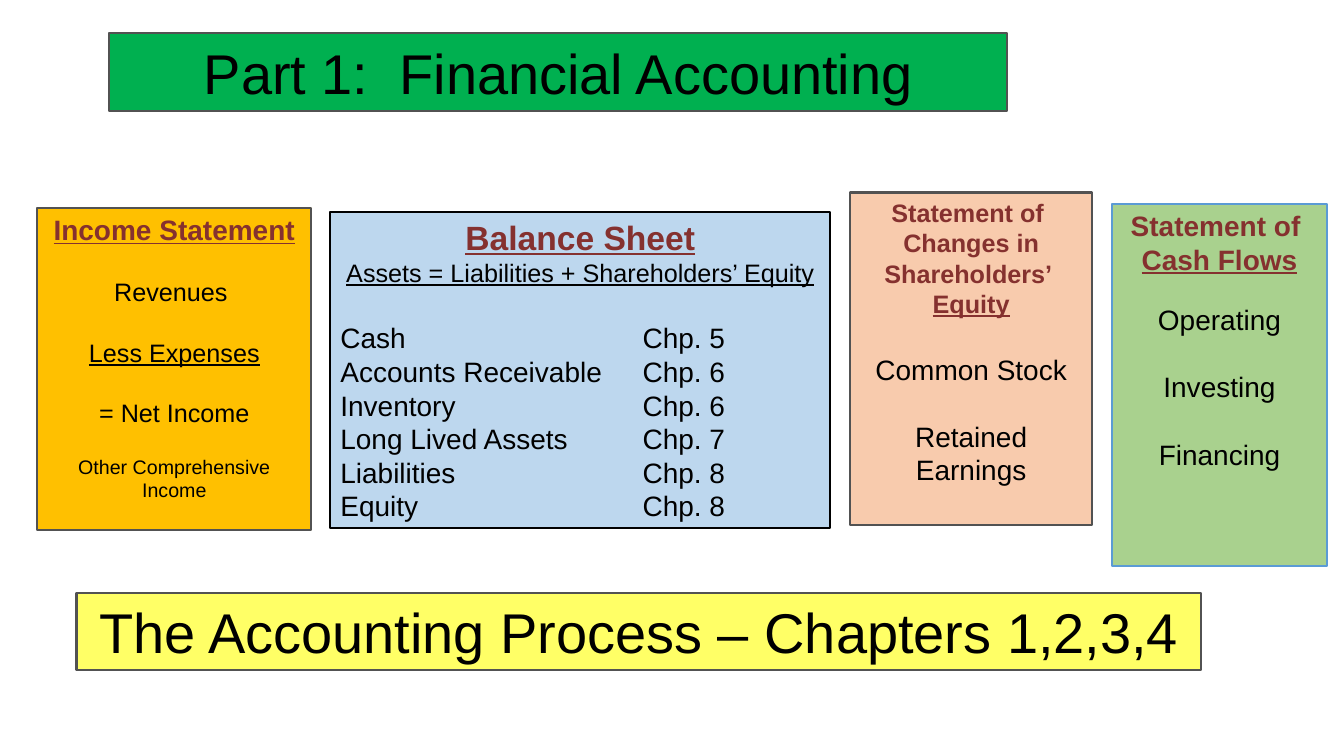
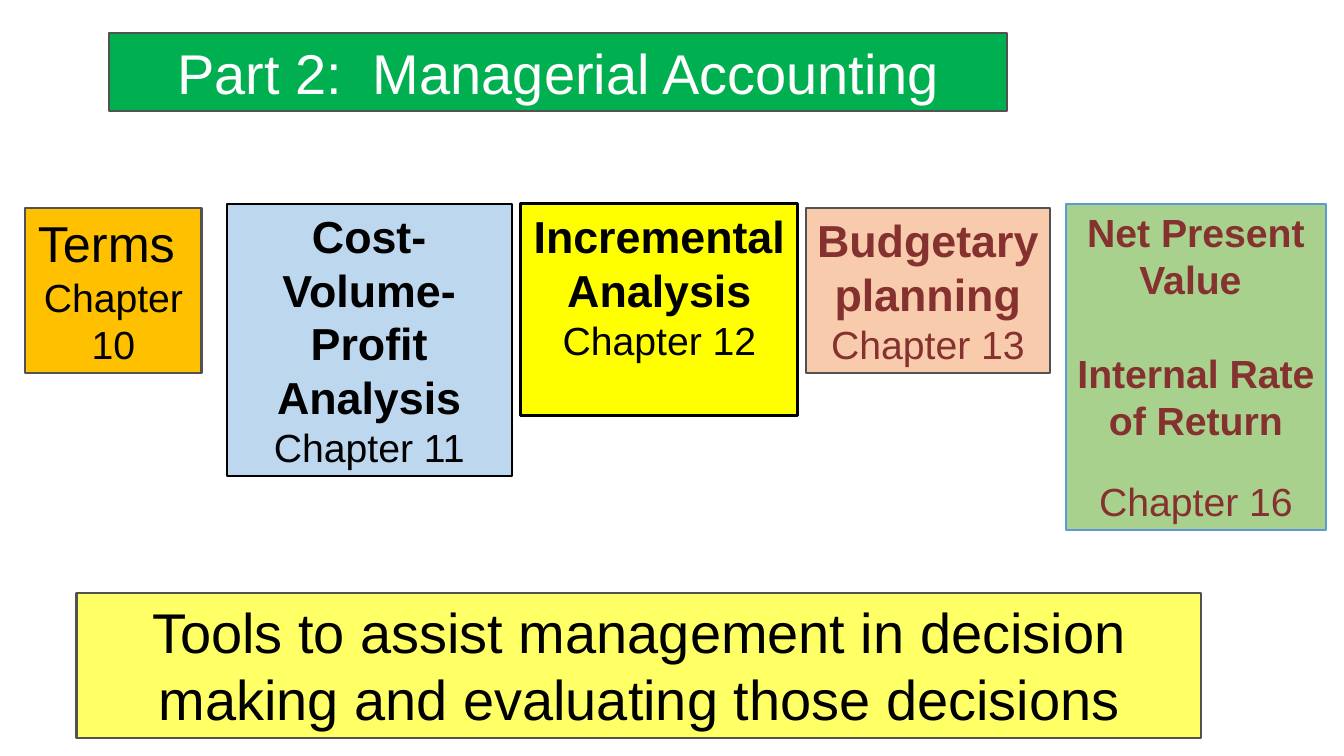
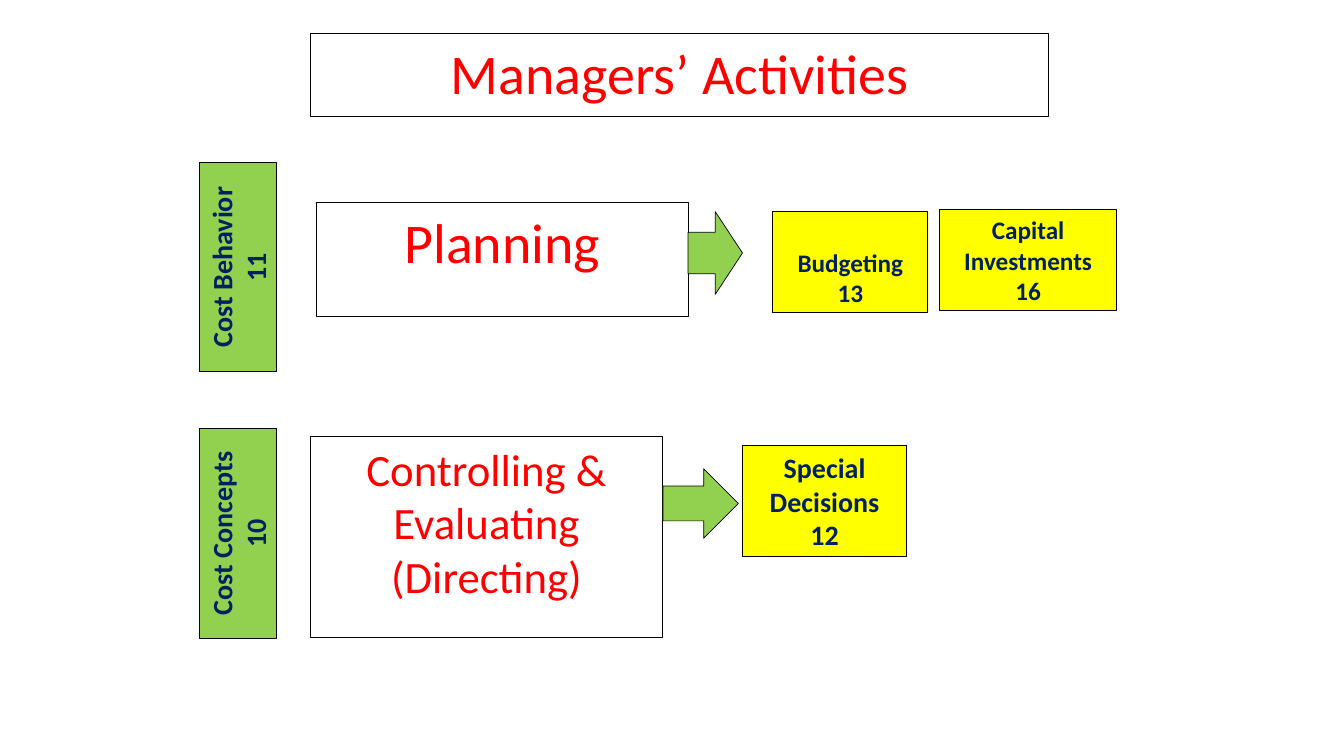
import dataclasses

import lxml.etree
import pptx
import pptx.dml.color
import pptx.enum.shapes
import pptx.enum.text
import pptx.oxml.ns
import pptx.util

Inches = pptx.util.Inches
Shape = pptx.enum.shapes.MSO_SHAPE
Align = pptx.enum.text.PP_ALIGN
Anchor = pptx.enum.text.MSO_ANCHOR


@dataclasses.dataclass(frozen=True)
class Theme:
    black: str = "000000"
    white: str = "FFFFFF"
    brown: str = "85312F"
    red: str = "FF0000"
    navy: str = "002060"
    gray: str = "525252"
    green: str = "00B050"
    lime: str = "92D050"
    lemon: str = "FFFF66"
    yellow: str = "FFFF00"
    gold: str = "FFC000"
    sky: str = "BDD7EE"
    peach: str = "F8CBAD"
    sage: str = "A9D18E"
    blue: str = "5B9BD5"
    sans: str = "Arial"
    soft: str = "Calibri"
    title: int = 40
    term: int = 36
    head: int = 32
    sub: int = 28
    lead: int = 24
    body: int = 20
    text: int = 18
    small: int = 14
    pitch: float = 1.2
    edge: float = 1.5
    thick: float = 2.25
    thin: float = 0.75
    hair: float = 0.5


T = Theme()


@dataclasses.dataclass(frozen=True)
class Line:
    """One paragraph; gap is the size of the empty line above it."""
    text: str
    size: int = T.body
    color: str = T.black
    bold: bool = False
    under: bool = False
    gap: int = 0
    tab: float = 0


def rgb(code):
    return pptx.dml.color.RGBColor.from_string(code)


def draw(slide, kind, at, fill, edge, width):
    shape = slide.shapes.add_shape(kind, *(Inches(n) for n in at))
    shape.shadow.inherit = False
    if fill:
        shape.fill.solid()
        shape.fill.fore_color.rgb = rgb(fill)
    else:
        shape.fill.background()
    shape.line.color.rgb = rgb(edge)
    shape.line.width = pptx.util.Pt(width)
    return shape


def add_tab(para, pos):
    qn = pptx.oxml.ns.qn
    stops = lxml.etree.SubElement(para._p.get_or_add_pPr(), qn("a:tabLst"))
    lxml.etree.SubElement(stops, qn("a:tab"), pos=str(Inches(pos)), algn="l")


def write(shape, lines, font, anchor):
    frame = shape.text_frame
    frame.word_wrap = True
    frame.vertical_anchor = anchor
    for i, line in enumerate(lines):
        para = frame.paragraphs[0] if i == 0 else frame.add_paragraph()
        para.alignment = Align.LEFT if line.tab else Align.CENTER
        if font == T.sans:
            para.line_spacing = pptx.util.Pt(line.size * T.pitch)
        if line.gap:
            para.space_before = pptx.util.Pt(line.gap * T.pitch)
        if line.tab:
            add_tab(para, line.tab)
        run = para.add_run()
        run.text = line.text
        run.font.name = font
        run.font.size = pptx.util.Pt(line.size)
        run.font.bold = line.bold
        run.font.underline = line.under
        run.font.color.rgb = rgb(line.color)


def panel(slide, at, lines, fill=None, edge=T.black, width=T.edge,
          font=T.sans, anchor=Anchor.TOP):
    """Draw a framed box holding text."""
    shape = draw(slide, Shape.RECTANGLE, at, fill, edge, width)
    write(shape, lines, font, anchor)
    return shape


def part(deck, title, color, foot, depth, cards):
    """Build a slide with a green title, a row of cards and a yellow foot."""
    slide = deck.slides.add_slide(deck.slide_layouts[6])
    panel(slide, (1.08, 0.33, 8.92, 0.77),
          [Line(title, T.title, color)], T.green, T.gray)
    panel(slide, (0.76, 5.88, 11.16, depth),
          [Line(foot, T.title)], T.lemon, T.gray)
    for card in cards:
        panel(slide, *card)


def row(slide, left, top, label, step, arrow, tools):
    """Draw an activity: upright label, step, arrow and its tools."""
    def place(x, y, w, h):
        return left + x, top + y, w, h

    def soft(at, lines, fill=None, anchor=Anchor.TOP):
        return panel(slide, at, lines, fill, T.black, T.thin, T.soft, anchor)

    tall, wide = 2.08, 0.77
    shift = (tall - wide) / 2
    tag = soft(place(-shift, shift, tall, wide),
               [Line(text, T.body, T.navy, True) for text in label], T.lime)
    tag.rotation = 270

    box, text, size = step
    soft(place(*box), [Line(text, size, T.red)])
    y, w, h = arrow
    draw(slide, Shape.RIGHT_ARROW, place(box[0] + box[2], y, w, h),
         T.lime, T.black, T.hair)
    for spot, texts, size, anchor in tools:
        soft(place(*spot), [Line(text, size, T.navy, True) for text in texts],
             T.yellow, anchor)


def activities(deck):
    slide = deck.slides.add_slide(deck.slide_layouts[6])
    panel(slide, (3.08, 0.33, 7.33, 0.83),
          [Line("Managers’ Activities", T.title, T.red)],
          T.white, T.black, T.thin, T.soft)
    row(slide, 1.98, 1.61, ("Cost Behavior", "11"),
        ((1.16, 0.4, 3.69, 1.13), "Planning", T.title),
        (0.49, 0.54, 0.82),
        [((5.69, 0.49, 1.54, 1), ("Budgeting", "13"), T.text, Anchor.BOTTOM),
         ((7.35, 0.47, 1.75, 1), ("Capital Investments", "16"), T.text,
          Anchor.TOP)])
    row(slide, 1.98, 4.25, ("Cost Concepts", "10"),
        ((1.1, 0.08, 3.5, 2), "Controlling & Evaluating (Directing)", T.head),
        (0.4, 0.75, 0.69),
        [((5.39, 0.17, 1.63, 1.1), ("Special Decisions 12",), T.body,
          Anchor.TOP)])


def finance(deck):
    income = [
        Line("Income Statement", T.body, T.brown, True, True),
        Line("Revenues ", T.text, gap=18),
        Line("Less Expenses", T.text, under=True, gap=18),
        Line("= Net Income", T.text, gap=18),
        Line("Other Comprehensive Income", T.small, gap=16),
    ]
    items = [("Cash", 5), ("Accounts Receivable", 6), ("Inventory", 6),
             ("Long Lived Assets", 7), ("Liabilities", 8), ("Equity", 8)]
    sheet = [
        Line("Balance Sheet", T.lead, T.brown, True, True),
        Line("Assets = Liabilities + Shareholders’ Equity", T.text, under=True),
    ] + [Line(f"{name}\tChp. {num}", gap=0 if i else 20, tab=3)
         for i, (name, num) in enumerate(items)]
    equity = [
        Line("Statement of ", T.text, T.brown, True),
        Line("Changes in Shareholders’ ", T.text, T.brown, True),
        Line("Equity", T.text, T.brown, True, True),
        Line("Common Stock", gap=20),
        Line("Retained", gap=20),
        Line("Earnings"),
    ]
    cash = [
        Line("Statement of ", T.body, T.brown, True),
        Line("Cash Flows", T.body, T.brown, True, True),
        Line("Operating", gap=16),
        Line("Investing", gap=20),
        Line("Financing", gap=20),
    ]
    part(deck, "Part 1:  Financial Accounting", T.black,
         "The Accounting Process – Chapters 1,2,3,4", 0.77, [
             ((0.37, 2.06, 2.72, 3.2), income, T.gold, T.gray),
             ((3.28, 2.1, 4.96, 3.14), sheet, T.sky),
             ((8.44, 1.91, 2.4, 3.3), equity, T.peach, T.gray),
             ((11.04, 2.02, 2.13, 3.6), cash, T.sage, T.blue),
         ])


def manage(deck):
    def topic(name, num, color=T.black, size=T.head, bold=True):
        return [Line(name, size, color, bold),
                Line(f"Chapter {num}", T.sub, color)]

    worth = [
        Line("Net Present Value ", T.sub, T.brown, True),
        Line("Internal Rate of Return", T.sub, T.brown, True, gap=28),
        Line("Chapter 16", T.sub, T.brown, gap=20),
    ]
    part(deck, "Part 2:  Managerial Accounting", T.white,
         "Tools to assist management in decision making and evaluating "
         "those decisions", 1.44, [
             ((0.25, 2.06, 1.75, 1.64),
              topic("Terms ", 10, size=T.term, bold=False), T.gold, T.gray),
             ((2.25, 2.02, 2.83, 2.7),
              topic("Cost-Volume-Profit Analysis", 11), T.sky),
             ((5.17, 2.02, 2.75, 2.1),
              topic("Incremental Analysis", 12), T.yellow, T.black, T.thick),
             ((8, 2.06, 2.42, 1.64),
              topic("Budgetary planning", 13, T.brown), T.peach, T.gray),
             ((10.58, 2.02, 2.58, 3.24), worth, T.sage, T.blue),
         ])


def main():
    deck = pptx.Presentation()
    deck.slide_width, deck.slide_height = Inches(13.34), Inches(7.5)
    finance(deck)
    manage(deck)
    activities(deck)
    deck.save("out.pptx")


if __name__ == "__main__":
    main()
